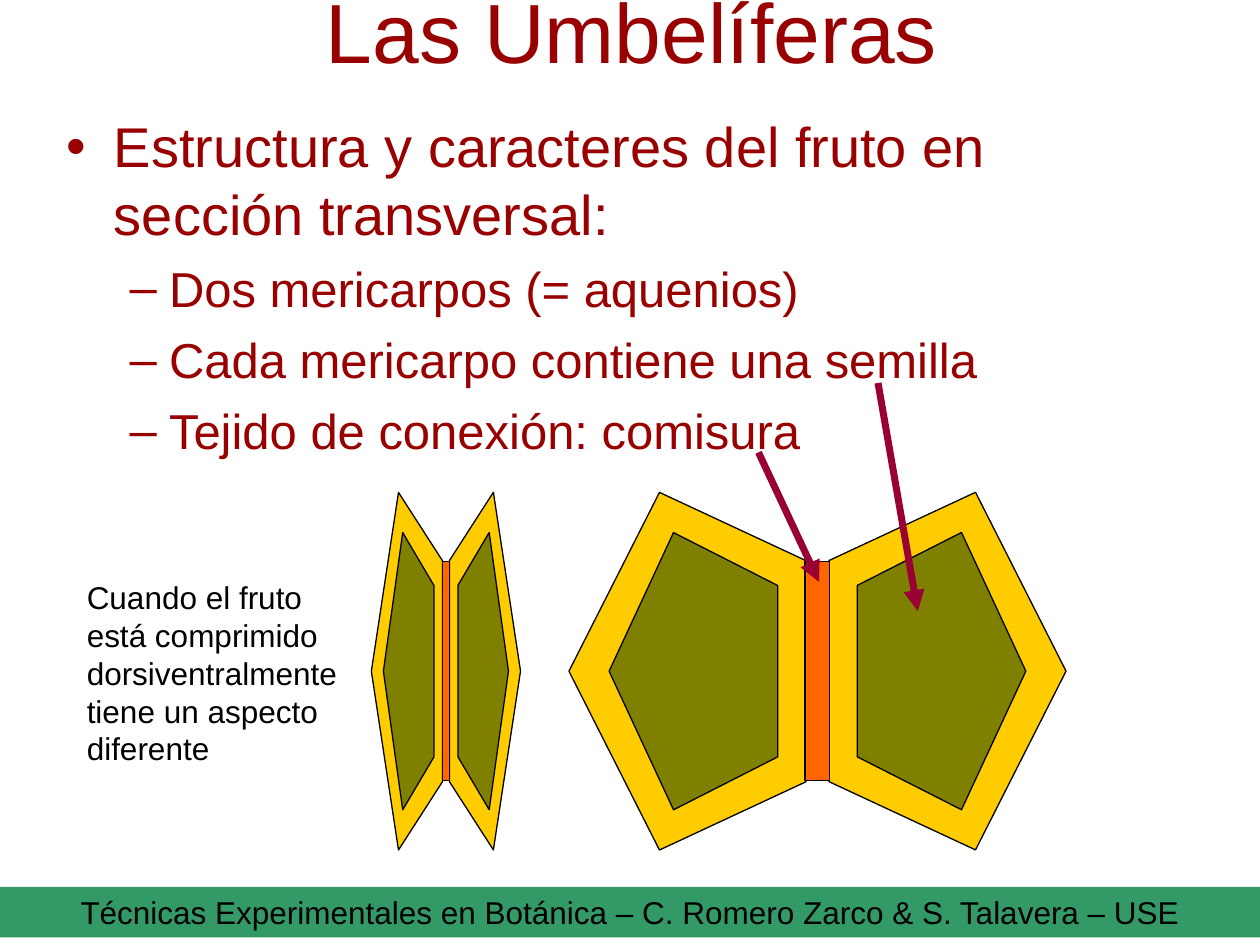
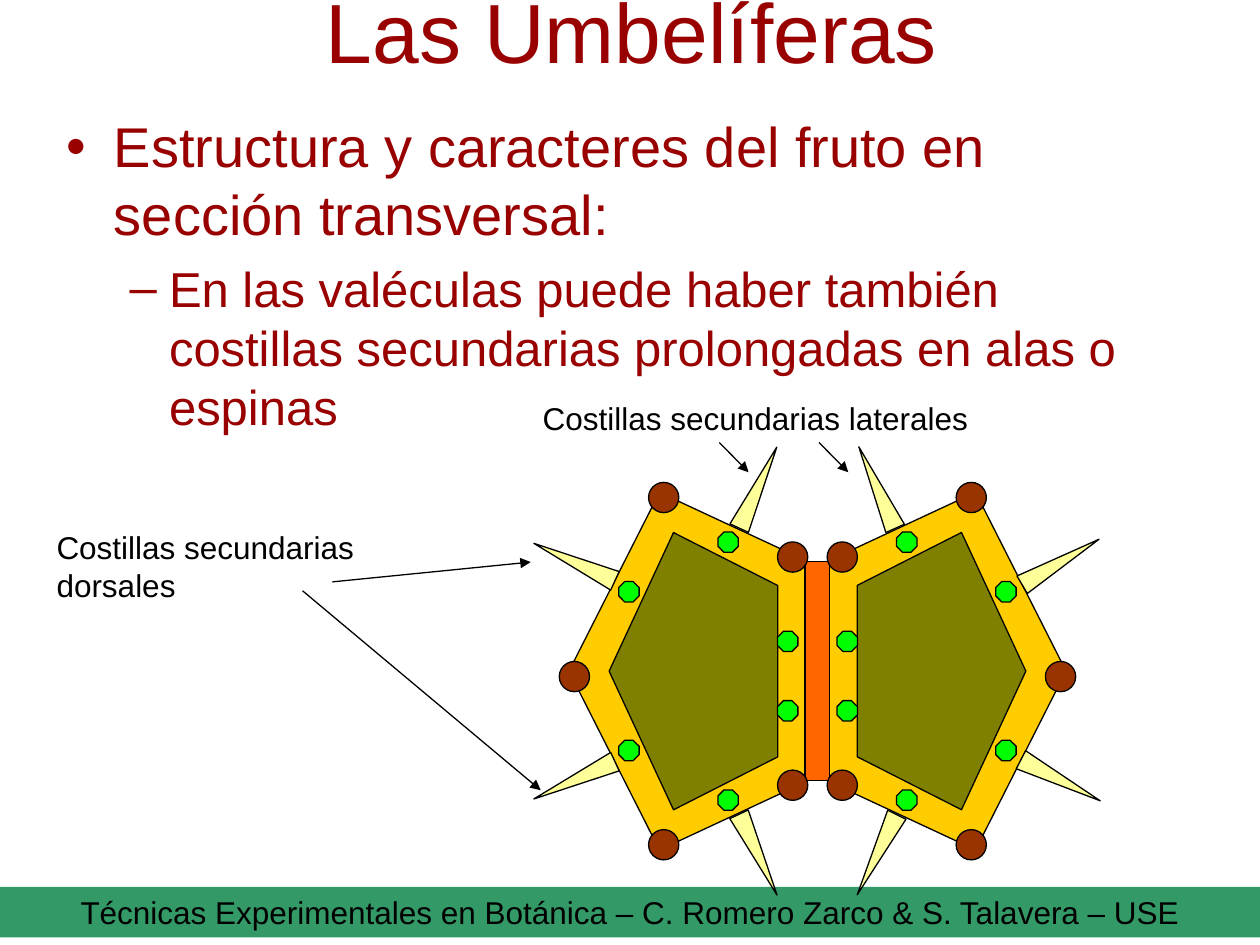
from dataclasses import dataclass
from itertools import product

from lxml import etree
from pptx import Presentation
from pptx.dml.color import RGBColor
from pptx.enum.shapes import MSO_CONNECTOR, MSO_SHAPE
from pptx.enum.text import MSO_ANCHOR, MSO_AUTO_SIZE, PP_ALIGN
from pptx.oxml.ns import qn
from pptx.util import Cm, Pt

STRAIGHT = MSO_CONNECTOR.STRAIGHT
PENTAGON, RECTANGLE = MSO_SHAPE.REGULAR_PENTAGON, MSO_SHAPE.RECTANGLE
OVAL, OCTAGON = MSO_SHAPE.OVAL, MSO_SHAPE.OCTAGON
TRIANGLE = MSO_SHAPE.ISOSCELES_TRIANGLE
CENTER, MIDDLE, TOP = PP_ALIGN.CENTER, MSO_ANCHOR.MIDDLE, MSO_ANCHOR.TOP
NO_AUTOFIT = MSO_AUTO_SIZE.NONE

FONT = "Arial"
BLACK = RGBColor(0x00, 0x00, 0x00)
DARK_RED = RGBColor(0x99, 0x00, 0x00)
CRIMSON = RGBColor(0x99, 0x00, 0x33)
BAND_GREEN = RGBColor(0x33, 0x99, 0x66)
WALL_YELLOW = RGBColor(0xFF, 0xCC, 0x00)
SEED_OLIVE = RGBColor(0x80, 0x80, 0x00)
COMMISSURE_ORANGE = RGBColor(0xFF, 0x66, 0x00)
RIB_BROWN = RGBColor(0x99, 0x33, 0x00)
DUCT_GREEN = RGBColor(0x00, 0xFF, 0x00)
SPINE_YELLOW = RGBColor(0xFF, 0xFF, 0x99)

TITLE = "Las Umbelíferas"
HEADING = "Estructura y caracteres del fruto en sección transversal:"
FOOTER = "Técnicas Experimentales en Botánica – C. Romero Zarco & S. Talavera – USE"

# Fruit centres, in centimetres
FRUIT_X, FLAT_FRUIT_X, FRUIT_Y = 16.48, 8.99, 13.53
FLAT_SCALE = 0.3


@dataclass(frozen=True)
class Part:
    """A preset shape of the fruit, sized in centimetres."""
    kind: int
    width: float
    height: float
    color: RGBColor


@dataclass(frozen=True)
class Place:
    """An offset from the fruit centre, in centimetres, and a turn."""
    dx: float
    dy: float
    angle: float = 0


@dataclass(frozen=True)
class Arrow:
    x1: float
    y1: float
    x2: float
    y2: float
    color: RGBColor = BLACK
    width: float = 0.75


@dataclass(frozen=True)
class Label:
    text: str
    left: float
    top: float
    width: float
    height: float


WALL = Part(PENTAGON, 7.21, 4.78, WALL_YELLOW)
SEED = Part(PENTAGON, 5.59, 3.4, SEED_OLIVE)
COMMISSURE = Part(RECTANGLE, 0.5, 4.42, COMMISSURE_ORANGE)
RIB = Part(OVAL, 0.61, 0.61, RIB_BROWN)
DUCT = Part(OCTAGON, 0.41, 0.41, DUCT_GREEN)
SPINE = Part(TRIANGLE, 0.41, 1.8, SPINE_YELLOW)
WALL_DX, SEED_DX = 2.62, 2.5

# Offsets on one side; each is mirrored across the commissure
RIB_OFFSETS = [(3.1, -3.5), (0.5, -2.3), (4.9, 0.11), (0.5, 2.3), (3.1, 3.5)]
DUCT_OFFSETS = [(1.8, -2.6), (3.8, -1.6), (0.6, -0.6),
                (0.6, 0.8), (3.8, 1.6), (1.8, 2.6)]
SPINES = [
    Place(-1.2, -3.7, 24.9), Place(1.2, -3.7, 336),
    Place(4.9, -2.2, 59.4), Place(4.9, 2.2, 117.4),
    Place(1.2, 3.7, 206.3), Place(-1.2, 3.7, 154.8),
    Place(-4.9, 2.2, 245.3), Place(-4.9, -2.2, 294.8),
]

SEED_ARROWS = [
    Arrow(15.29, 9.12, 16.51, 11.73, CRIMSON, 4),
    Arrow(17.7, 7.72, 18.5, 12.32, CRIMSON, 4),
]
SPINE_ARROWS = [
    Arrow(14.5, 8.92, 15.09, 9.52),
    Arrow(16.51, 8.92, 17.1, 9.52),
    Arrow(6.7, 11.73, 10.7, 11.33),
    Arrow(6.1, 11.91, 10.9, 15.93),
]
FLAT_LABEL = Label("Cuando el fruto está comprimido dorsiventralmente "
                   "tiene un aspecto diferente", 1.5, 11.53, 6, 4.06)
SPINE_LABELS = [
    Label("Costillas secundarias dorsales", 0.89, 10.52, 6.6, 1.78),
    Label("Costillas secundarias laterales", 10.69, 7.92, 11.6, 1.02),
]


def style_font(p, size: float, color: RGBColor) -> None:
    for r in p.runs:
        r.font.name = FONT
        r.font.size = Pt(size)
        r.font.color.rgb = color


def add_part(shapes, part: Part, x: float, y: float, angle: float = 0,
             x_scale: float = 1) -> None:
    """Centre a part on (x, y); x_scale squeezes it across the slide."""
    w, h = part.width, part.height
    if part.kind == PENTAGON:
        h *= x_scale
    else:
        w *= x_scale
    sp = shapes.add_shape(part.kind, Cm(x - w / 2), Cm(y - h / 2), Cm(w), Cm(h))
    sp.rotation = angle
    sp.shadow.inherit = False
    sp.fill.solid()
    sp.fill.fore_color.rgb = part.color
    sp.line.color.rgb = BLACK
    sp.line.width = Pt(0.75)


def add_fruit(slide, x: float, scale: float = 1) -> None:
    """Draw two mirrored mericarps joined by the commissure."""
    shapes = slide.shapes.add_group_shape().shapes
    sides = ((-1, 270), (1, 90))
    for side, angle in sides:
        add_part(shapes, WALL, x + side * WALL_DX * scale, FRUIT_Y, angle, scale)
    add_part(shapes, COMMISSURE, x, FRUIT_Y, 0, scale)
    for side, angle in sides:
        add_part(shapes, SEED, x + side * SEED_DX * scale, FRUIT_Y, angle, scale)


def add_mirrored(slide, part: Part, offsets: list[tuple[float, float]]) -> None:
    shapes = slide.shapes.add_group_shape().shapes
    for (dx, dy), side in product(offsets, (-1, 1)):
        add_part(shapes, part, FRUIT_X + side * dx, FRUIT_Y + dy)


def add_spines(slide) -> None:
    shapes = slide.shapes.add_group_shape().shapes
    for s in SPINES:
        add_part(shapes, SPINE, FRUIT_X + s.dx, FRUIT_Y + s.dy, s.angle)


def add_arrow(slide, arrow: Arrow) -> None:
    line = slide.shapes.add_connector(STRAIGHT, Cm(arrow.x1), Cm(arrow.y1),
                                      Cm(arrow.x2), Cm(arrow.y2))
    line.line.color.rgb = arrow.color
    line.line.width = Pt(arrow.width)
    etree.SubElement(line.line._get_or_add_ln(), qn("a:tailEnd"), type="triangle")
    etree.SubElement(line._element.spPr, qn("a:effectLst"))


def add_label(slide, label: Label) -> None:
    sp = slide.shapes.add_textbox(Cm(label.left), Cm(label.top),
                                  Cm(label.width), Cm(label.height))
    tf = sp.text_frame
    tf.word_wrap = True
    tf.text = label.text
    style_font(tf.paragraphs[0], 18, BLACK)


def place(sp, left: float, top: float, width: float, height: float) -> None:
    sp.left, sp.top, sp.width, sp.height = Cm(left), Cm(top), Cm(width), Cm(height)


def add_title(slide) -> None:
    sp = slide.shapes.title
    place(sp, 1.3, 0, 22.86, 3.18)
    tf = sp.text_frame
    tf.text = TITLE
    tf.auto_size = NO_AUTOFIT
    tf.vertical_anchor = MIDDLE
    tf.margin_bottom = Cm(2.08)
    tf.paragraphs[0].alignment = CENTER
    style_font(tf.paragraphs[0], 48, DARK_RED)


def add_body(slide, items: list[str], height: float) -> None:
    sp = slide.placeholders[1]
    place(sp, 1.09, 2.13, 22.86, height)
    tf = sp.text_frame
    tf.auto_size = NO_AUTOFIT
    tf.vertical_anchor = TOP
    tf.text = "\n".join([HEADING, *items])
    for i, p in enumerate(tf.paragraphs):
        p.level = min(i, 1)
        p.space_before = Pt(7 if i else 0)
        style_font(p, 28 if i else 32, DARK_RED)


def add_footer(slide) -> None:
    sp = slide.shapes.add_shape(RECTANGLE, 0, Cm(17.88), Cm(25.4), Cm(1.02))
    sp.shadow.inherit = False
    sp.fill.solid()
    sp.fill.fore_color.rgb = BAND_GREEN
    sp.line.fill.background()
    tf = sp.text_frame
    tf.text = FOOTER
    tf.vertical_anchor = MIDDLE
    tf.paragraphs[0].alignment = CENTER
    style_font(tf.paragraphs[0], 18, BLACK)


def add_fruit_slide(prs, items: list[str], body_height: float):
    """Add a slide with the shared title, list, large fruit and footer."""
    slide = prs.slides.add_slide(prs.slide_layouts[1])
    add_title(slide)
    add_body(slide, items, body_height)
    add_fruit(slide, FRUIT_X)
    add_footer(slide)
    return slide


def main() -> None:
    prs = Presentation()
    prs.slide_width, prs.slide_height = Cm(25.4), Cm(19.05)

    slide = add_fruit_slide(prs, [
        "Dos mericarpos (= aquenios)",
        "Cada mericarpo contiene una semilla",
        "Tejido de conexión: comisura",
    ], 14.6)
    for arrow in SEED_ARROWS:
        add_arrow(slide, arrow)
    add_fruit(slide, FLAT_FRUIT_X, FLAT_SCALE)
    add_label(slide, FLAT_LABEL)

    slide = add_fruit_slide(prs, [
        "En las valéculas puede haber también costillas secundarias "
        "prolongadas en alas o espinas",
    ], 7.6)
    add_mirrored(slide, RIB, RIB_OFFSETS)
    add_mirrored(slide, DUCT, DUCT_OFFSETS)
    for label in SPINE_LABELS:
        add_label(slide, label)
    add_spines(slide)
    for arrow in SPINE_ARROWS:
        add_arrow(slide, arrow)

    prs.save("out.pptx")


if __name__ == "__main__":
    main()
